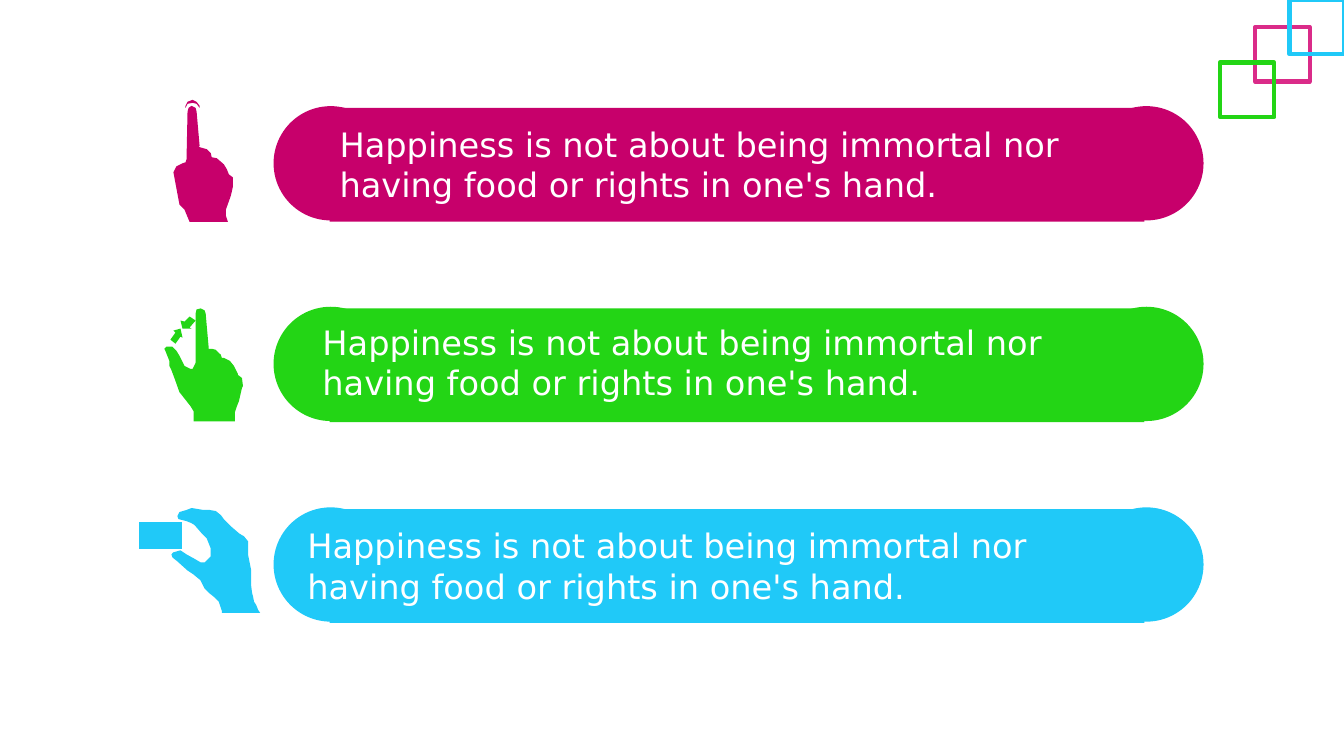
from dataclasses import dataclass

from pptx import Presentation
from pptx import util as u
from pptx.dml.color import RGBColor
from pptx.enum import shapes, text


@dataclass(frozen=True)
class Theme:
    """Colours, font and sizes used across the slide."""
    magenta: str = "C7006B"
    pink: str = "DA2B89"
    green: str = "23D515"
    blue: str = "20C9F8"
    white: str = "FFFFFF"
    font: str = "DejaVu Sans"
    text_size: int = 24
    frame_line: int = 3
    cap_line: int = 1


THEME = Theme()
QUOTE = "Happiness is not about being immortal nor having food or rights in one's hand."

# Hand outlines, in hundredths of an inch from the top left of each hand.
POINTING_HAND = [
    [(43, 58), (38, 57), (37, 53), (35, 51), (33, 49), (26, 47), (25, 46), (26, 46),
     (23, 12), (22, 8), (18, 6), (15, 8), (14, 12), (13, 59), (12, 62), (9, 63),
     (3, 66), (0, 72), (6, 104), (11, 109), (16, 121), (54, 121), (52, 115), (52, 109),
     (57, 95), (59, 86), (59, 77), (55, 74), (53, 69), (50, 64)],
    [(26, 8), (26, 6), (23, 2), (19, 0), (14, 2), (12, 6), (12, 8), (14, 4), (19, 3),
     (23, 4)],
]
PINCHING_HAND = [
    [(59, 50), (57, 50), (56, 47), (54, 45), (51, 42), (47, 41), (44, 41), (44, 40),
     (41, 6), (40, 3), (36, 1), (32, 2), (31, 6), (31, 55), (28, 61), (26, 61),
     (20, 58), (15, 48), (12, 43), (8, 39), (2, 39), (0, 41), (1, 43), (3, 48),
     (5, 53), (5, 58), (7, 62), (10, 70), (15, 84), (26, 98), (29, 103), (29, 113),
     (70, 113), (70, 104), (72, 98), (74, 93), (77, 80), (78, 78), (77, 70), (73, 67),
     (73, 66), (69, 58), (65, 53)],
    [(18, 21), (16, 13), (20, 14), (25, 9), (31, 13), (25, 20), (27, 21)],
    [(16, 21), (18, 30), (16, 29), (11, 36), (6, 32), (11, 25), (9, 23)],
]
CARD_HAND = [
    [(0, 14), (43, 14), (43, 41), (0, 41)],
    [(61, 72), (65, 80), (69, 84), (74, 88), (79, 93), (82, 102), (82, 104), (120, 104),
     (118, 101), (116, 96), (114, 93), (113, 88), (112, 84), (111, 76), (111, 61),
     (108, 46), (108, 33), (104, 28), (102, 27), (99, 25), (92, 19), (84, 11), (81, 7),
     (76, 3), (70, 2), (64, 2), (52, 0), (47, 2), (40, 4), (38, 8), (39, 11), (47, 13),
     (52, 15), (55, 17), (62, 25), (67, 30), (71, 40), (71, 48), (65, 54), (61, 54),
     (56, 51), (47, 46), (41, 42), (34, 44), (32, 46), (33, 49), (38, 53), (48, 62),
     (54, 66), (60, 71)],
]


def paint(shape, fill=None, line=None, line_width=0):
    """Give a shape its fill and line, or none, and no shadow."""
    shape.shadow.inherit = False
    if fill:
        shape.fill.solid()
        shape.fill.fore_color.rgb = RGBColor.from_string(fill)
    else:
        shape.fill.background()
    if line:
        shape.line.color.rgb = RGBColor.from_string(line)
        shape.line.width = u.Pt(line_width)
    else:
        shape.line.fill.background()


def add_preset(slide, kind, left, top, width, height, **look):
    """Add a painted preset shape, measured in inches."""
    box = (u.Inches(value) for value in (left, top, width, height))
    paint(slide.shapes.add_shape(kind, *box), **look)


def add_corner_frames(slide, left, top):
    """Draw the three overlapping square frames from their top left."""
    side = 0.54
    frames = ((0.35, 0.27, THEME.pink), (0.69, 0, THEME.blue), (0, 0.62, THEME.green))
    for across, down, colour in frames:
        add_preset(slide, shapes.MSO_SHAPE.RECTANGLE, left + across, top + down,
                   side, side, line=colour, line_width=THEME.frame_line)


def add_hand(slide, left, top, outlines, colour):
    """Draw the outlines of one hand from its top left."""
    for start, *points in outlines:
        builder = slide.shapes.build_freeform(*start, scale=u.Inches(0.01))
        builder.add_line_segments(points, close=True)
        paint(builder.convert_to_shape(u.Inches(left), u.Inches(top)), fill=colour)


def add_pill(slide, left, top, width, colour):
    """Draw a bar with a round cap at each end of the given width."""
    cap = 1.12
    add_preset(slide, shapes.MSO_SHAPE.RECTANGLE, left + 0.55, top + 0.01,
               width - 1.13, 1.13, fill=colour)
    for cap_left in (left + width - cap, left):
        add_preset(slide, shapes.MSO_SHAPE.OVAL, cap_left, top, cap, cap,
                   fill=colour, line=colour, line_width=THEME.cap_line)


def add_quote(slide, left, top):
    """Write the quote in a text box."""
    box = slide.shapes.add_textbox(u.Inches(left), u.Inches(top),
                                   u.Inches(8.43), u.Inches(0.91))
    frame = box.text_frame
    frame.word_wrap = True
    frame.auto_size = text.MSO_AUTO_SIZE.SHAPE_TO_FIT_TEXT
    frame.text = QUOTE
    font = frame.paragraphs[0].runs[0].font
    font.name = THEME.font
    font.size = u.Pt(THEME.text_size)
    font.color.rgb = RGBColor.from_string(THEME.white)


def build_quote_slide(presentation):
    """Build the slide: corner frames, then three rows of hand, pill and quote."""
    slide = presentation.slides.add_slide(presentation.slide_layouts[6])
    add_corner_frames(slide, 12.1, 0)
    pill_left, first_top, pitch = 2.72, 1.06, 1.99
    rows = (
        (POINTING_HAND, 1.72, -0.07, THEME.magenta, 0.55, 0.12),
        (PINCHING_HAND, 1.63, 0, THEME.green, 0.38, 0.09),
        (CARD_HAND, 1.38, 0, THEME.blue, 0.23, 0.12),
    )
    for index, (hand, hand_left, hand_down, colour, indent, drop) in enumerate(rows):
        top = first_top + index * pitch
        add_hand(slide, hand_left, top + hand_down, hand, colour)
        add_pill(slide, pill_left, top, 9.21, colour)
        add_quote(slide, pill_left + indent, top + drop)


def main():
    """Create and save the presentation."""
    presentation = Presentation()
    presentation.slide_width = u.Inches(13.33)
    presentation.slide_height = u.Inches(7.5)
    build_quote_slide(presentation)
    presentation.save("out.pptx")


main()
